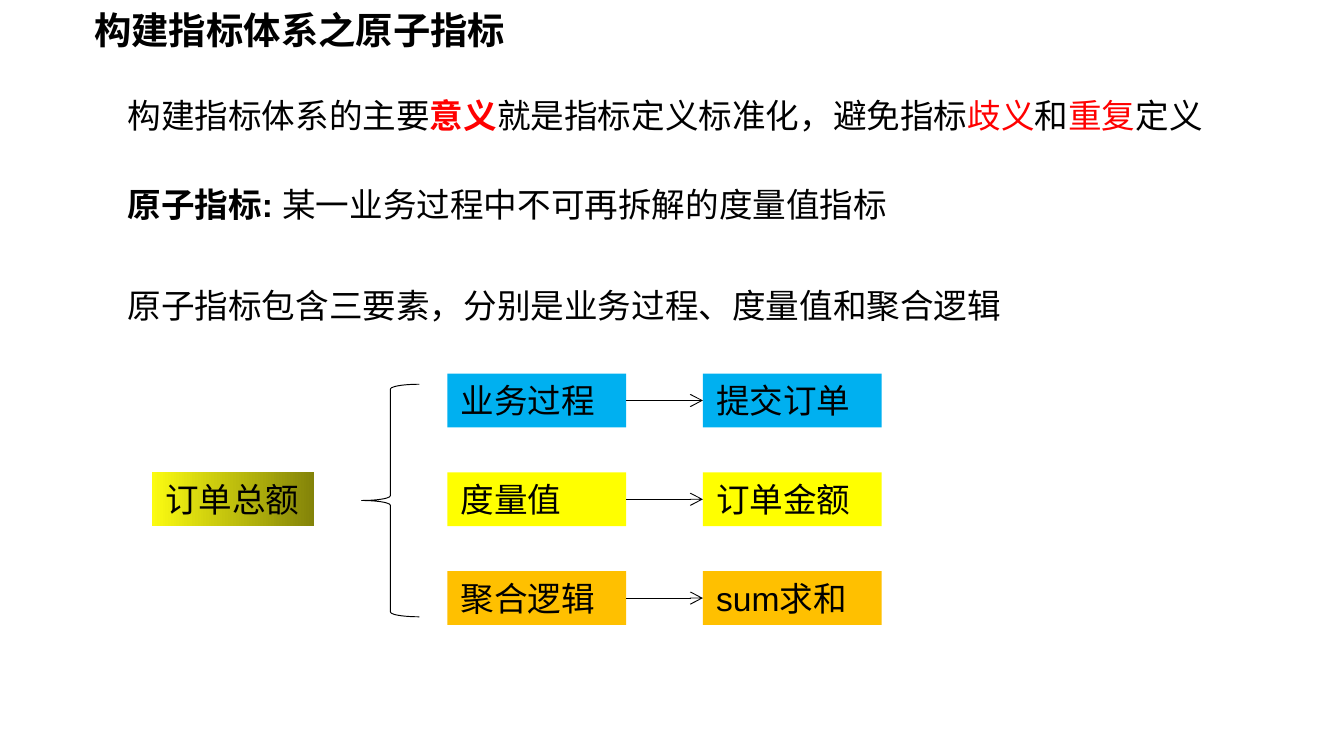
"""Build the slide on atomic metrics in a metric system."""
from lxml import etree
from pptx import Presentation
from pptx.dml.color import RGBColor
from pptx.enum.shapes import MSO_CONNECTOR, MSO_SHAPE
from pptx.enum.text import MSO_ANCHOR, PP_ALIGN
from pptx.oxml.ns import qn
from pptx.util import Inches, Pt

BLACK, RED = "000000", "FF0000"
TITLE = "构建指标体系之原子指标"
STATEMENTS = [
    (0.66, 8.3, [("构建指标体系的主要", BLACK, False), ("意义", RED, True),
                 ("就是指标定义标准化，避免指标", BLACK, False), ("歧义", RED, False),
                 ("和", BLACK, False), ("重复", RED, False), ("定义", BLACK, False)]),
    (1.32, 8.09, [("原子指标: ", BLACK, True),
                  ("某一业务过程中不可再拆解的度量值指标", BLACK, False)]),
    (2.07, 7.89, [("原子指标包含三要素，分别是业务过程、度量值和聚合逻辑", BLACK, False)]),
]
TOTAL = "订单总额"
TOTAL_GRADIENT = ["FBFB11", "838309"]
ELEMENTS = [
    ("业务过程", "提交订单", "00B0F0"),
    ("度量值", "订单金额", "FFFF00"),
    ("聚合逻辑", "sum求和", "FFC000"),
]
ELEMENT_LEFT, EXAMPLE_LEFT, BOX_WIDTH, BOX_HEIGHT = 3.33, 5.23, 1.33, 0.4
FIRST_TOP, LAST_TOP = 2.78, 4.25
ROW_STEP = (LAST_TOP - FIRST_TOP) / (len(ELEMENTS) - 1)


def color(value):
    return RGBColor.from_string(value)


def write(frame, runs, size=18):
    frame.word_wrap = True
    paragraph = frame.paragraphs[0]
    paragraph.alignment = PP_ALIGN.LEFT
    paragraph.font.name = "Arial"
    paragraph.font.size = Pt(size)
    for text, ink, bold in runs:
        run = paragraph.add_run()
        run.text = text
        run.font.color.rgb = color(ink)
        run.font.bold = bold


def add_box(left, top, width, text):
    box = slide.shapes.add_shape(MSO_SHAPE.RECTANGLE, Inches(left), Inches(top),
                                 Inches(width), Inches(BOX_HEIGHT))
    box.shadow.inherit = False
    box.line.fill.background()
    write(box.text_frame, [(text, BLACK, False)])
    return box


def thin_line(shape):
    shape.line.color.rgb = color(BLACK)
    shape.line.width = Pt(0.5)


def add_arrow(start, end, y):
    arrow = slide.shapes.add_connector(MSO_CONNECTOR.STRAIGHT, Inches(start), Inches(y),
                                       Inches(end), Inches(y))
    thin_line(arrow)
    properties = arrow._element.spPr
    etree.SubElement(properties.get_or_add_ln(), qn("a:tailEnd"), type="arrow")
    etree.SubElement(properties, qn("a:effectLst"))


presentation = Presentation()
presentation.slide_width = Inches(10)
presentation.slide_height = Inches(10 * 9 / 16)
slide = presentation.slides.add_slide(presentation.slide_layouts[5])

title = slide.shapes.title
title.left, title.top, title.width, title.height = map(Inches, (0.6, 0, 4.24, 0.44))
title.text_frame.vertical_anchor = MSO_ANCHOR.TOP
write(title.text_frame, [(TITLE, BLACK, True)], 20)

for top, width, runs in STATEMENTS:
    statement = slide.shapes.add_textbox(Inches(0.85), Inches(top), Inches(width), Inches(0.4))
    write(statement.text_frame, runs)

total = add_box(1.13, FIRST_TOP + ROW_STEP, 1.21, TOTAL)
total.fill.gradient()
total.fill.gradient_angle = 0
for position, (stop, shade) in enumerate(zip(total.fill.gradient_stops, TOTAL_GRADIENT)):
    stop.position = position
    stop.color.rgb = color(shade)

brace = slide.shapes.add_shape(MSO_SHAPE.LEFT_BRACE, Inches(2.69), Inches(2.86),
                               Inches(0.43), Inches(1.73))
brace.shadow.inherit = False
brace.fill.background()
thin_line(brace)

for row, (element, example, shade) in enumerate(ELEMENTS):
    top = FIRST_TOP + row * ROW_STEP
    for left, text in ((ELEMENT_LEFT, element), (EXAMPLE_LEFT, example)):
        box = add_box(left, top, BOX_WIDTH, text)
        box.fill.solid()
        box.fill.fore_color.rgb = color(shade)
    add_arrow(ELEMENT_LEFT + BOX_WIDTH, EXAMPLE_LEFT, top + BOX_HEIGHT / 2)

presentation.save("out.pptx")
